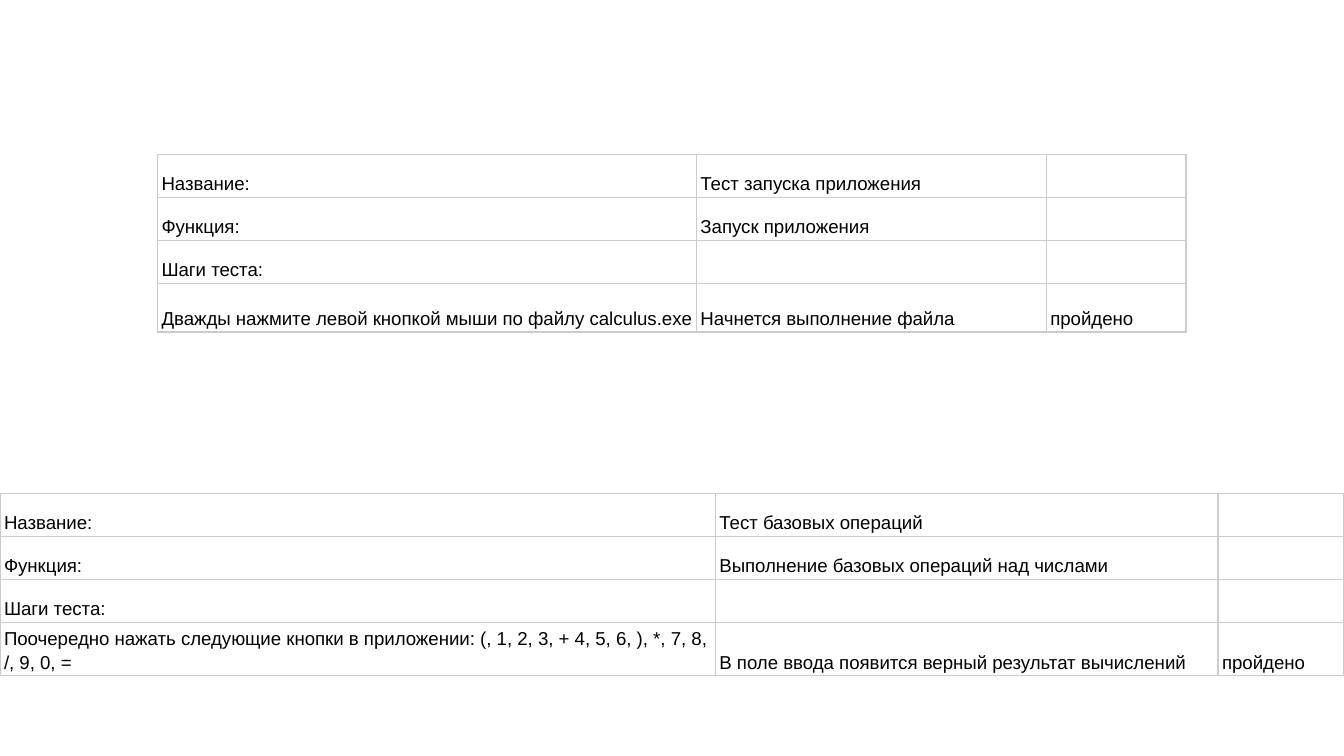
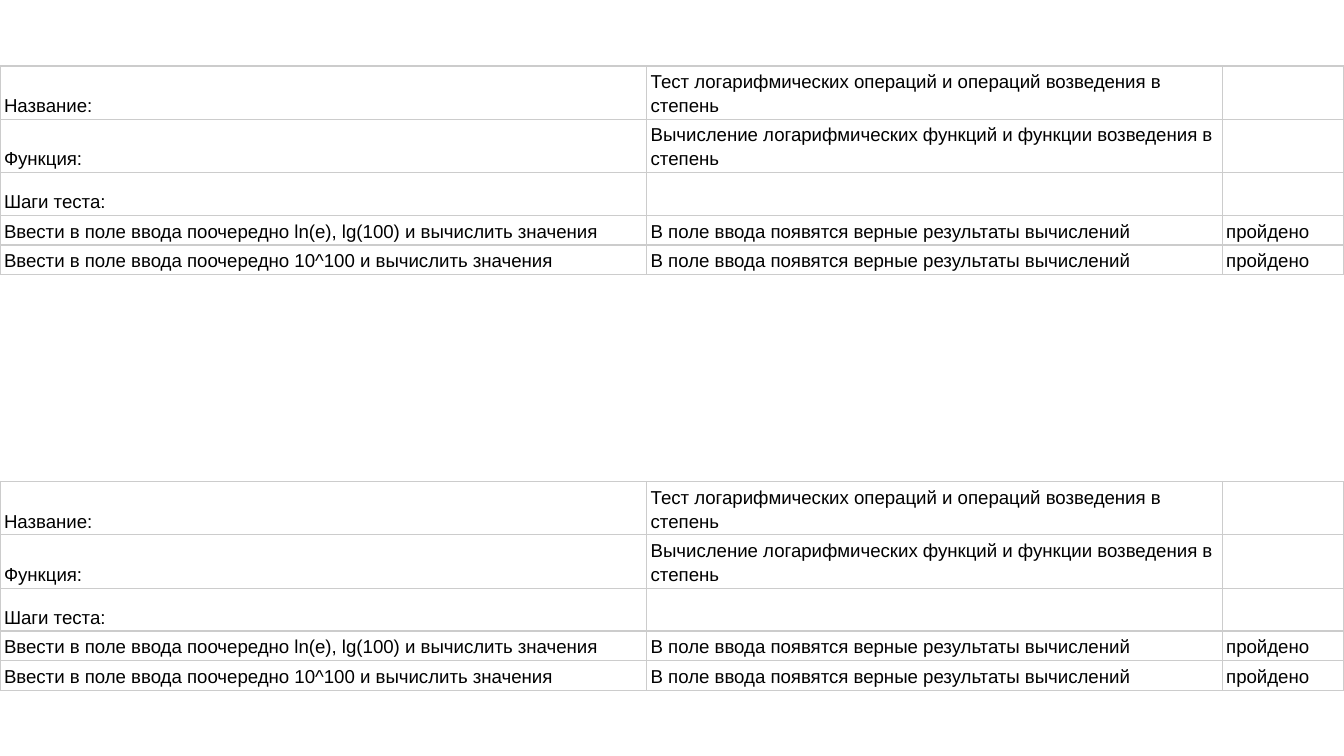
from dataclasses import dataclass

import pptx
import pptx.dml.color
import pptx.enum.text
import pptx.oxml.ns
import pptx.presentation
import pptx.slide
import pptx.table
import pptx.util
from lxml import etree

COLORS = {"text": "000000", "border": "CCCCCC", "background": "FFFFFF"}
FONT = "Arial"
TEXT_SIZE = 10
EMPTY_SIZE = 18
BORDER_WIDTH = pptx.util.Pt(0.75)
SIDE_MARGIN, EDGE_MARGIN = pptx.util.Inches(0.03), pptx.util.Inches(0.02)
SLIDE_W = pptx.util.Inches(10)
SLIDE_H = SLIDE_W * 9 // 16
PASSED = "пройдено"


@dataclass(frozen=True)
class Step:
    action: str
    result: str


@dataclass(frozen=True)
class TestCase:
    name: str
    function: str
    steps: tuple[Step, ...]

    def rows(self) -> list[tuple[str, str, str]]:
        head = [("Название:", self.name, ""),
                ("Функция:", self.function, ""),
                ("Шаги теста:", "", "")]
        return head + [(step.action, step.result, PASSED) for step in self.steps]


@dataclass(frozen=True)
class Placement:
    """Lengths in percent of the slide's width (left, cols) or height."""
    left: float
    top: float
    cols: tuple[float, ...]
    head_row: float
    step_row: float


def across(percent: float) -> int:
    return round(SLIDE_W * percent / 100)


def down(percent: float) -> int:
    return round(SLIDE_H * percent / 100)


def add_borders(cell: pptx.table._Cell) -> None:
    qn = pptx.oxml.ns.qn
    tc_pr = cell._tc.get_or_add_tcPr()
    for side in ("a:lnL", "a:lnR", "a:lnT", "a:lnB"):
        line = etree.SubElement(tc_pr, qn(side), w=str(int(BORDER_WIDTH)))
        fill = etree.SubElement(line, qn("a:solidFill"))
        etree.SubElement(fill, qn("a:srgbClr"), val=COLORS["border"])


def size_empty(p) -> None:
    """An empty cell keeps its row at the height of one larger line."""
    qn = pptx.oxml.ns.qn
    end = etree.SubElement(p._p, qn("a:endParaRPr"), sz=str(EMPTY_SIZE * 100))
    etree.SubElement(end, qn("a:latin"), typeface=FONT)


def fill_cell(cell: pptx.table._Cell, text: str) -> None:
    cell.margin_left = cell.margin_right = SIDE_MARGIN
    cell.margin_top = cell.margin_bottom = EDGE_MARGIN
    cell.vertical_anchor = pptx.enum.text.MSO_ANCHOR.BOTTOM
    add_borders(cell)
    cell.fill.background()
    p = cell.text_frame.paragraphs[0]
    if not text:
        size_empty(p)
        return
    p.text = text
    p.line_spacing = 1.15
    for r in p.runs:
        r.font.name = FONT
        r.font.size = pptx.util.Pt(TEXT_SIZE)
        r.font.color.rgb = pptx.dml.color.RGBColor.from_string(COLORS["text"])


def add_test_table(s: pptx.slide.Slide, case: TestCase, place: Placement) -> None:
    rows = case.rows()
    head_count = len(rows) - len(case.steps)
    heights = [place.head_row] * head_count + [place.step_row] * len(case.steps)
    table = s.shapes.add_table(
        len(rows), len(place.cols), across(place.left), down(place.top),
        across(sum(place.cols)), down(sum(heights))).table
    table.first_row = table.horz_banding = False
    for column, width in zip(table.columns, place.cols):
        column.width = across(width)
    for row, height, texts in zip(table.rows, heights, rows):
        row.height = down(height)
        for cell, text in zip(row.cells, texts):
            fill_cell(cell, text)


# Test cases
LAUNCH = TestCase(
    "Тест запуска приложения", "Запуск приложения",
    (Step("Дважды нажмите левой кнопкой мыши по файлу calculus.exe",
          "Начнется выполнение файла"),))
BASIC = TestCase(
    "Тест базовых операций", "Выполнение базовых операций над числами",
    (Step("Поочередно нажать следующие кнопки в приложении: "
          "(, 1, 2, 3, + 4, 5, 6, ), *, 7, 8, /, 9, 0, =",
          "В поле ввода появится верный результат вычислений"),))
LOGARITHM = TestCase(
    "Тест логарифмических операций и операций возведения в степень",
    "Вычисление логарифмических функций и функции возведения в степень",
    tuple(Step(f"Ввести в поле ввода поочередно {entry} и вычислить значения",
               "В поле ввода появятся верные результаты вычислений")
          for entry in ("ln(e), lg(100)", "10^100")))

# Tables of each slide
LOG_COLS = (48.12, 42.82, 9.06)
SLIDES = (
    ((LAUNCH, Placement(11.72, 20.46, (40.1, 26.03, 10.4), 3.91, 6.41)),
     (BASIC, Placement(0, 65.3, (53.23, 37.4, 9.37), 3.02, 4.45))),
    tuple((LOGARITHM, Placement(0, top, LOG_COLS, 3.91, 3.91))
          for top in (8.72, 63.7)),
)


def add_slide(prs: pptx.presentation.Presentation) -> pptx.slide.Slide:
    s = prs.slides.add_slide(prs.slide_layouts[6])
    fill = s.background.fill
    fill.solid()
    fill.fore_color.rgb = pptx.dml.color.RGBColor.from_string(COLORS["background"])
    return s


def main() -> None:
    prs = pptx.Presentation()
    prs.slide_width, prs.slide_height = SLIDE_W, SLIDE_H
    for tables in SLIDES:
        s = add_slide(prs)
        for case, place in tables:
            add_test_table(s, case, place)
    prs.save("out.pptx")


if __name__ == "__main__":
    main()
